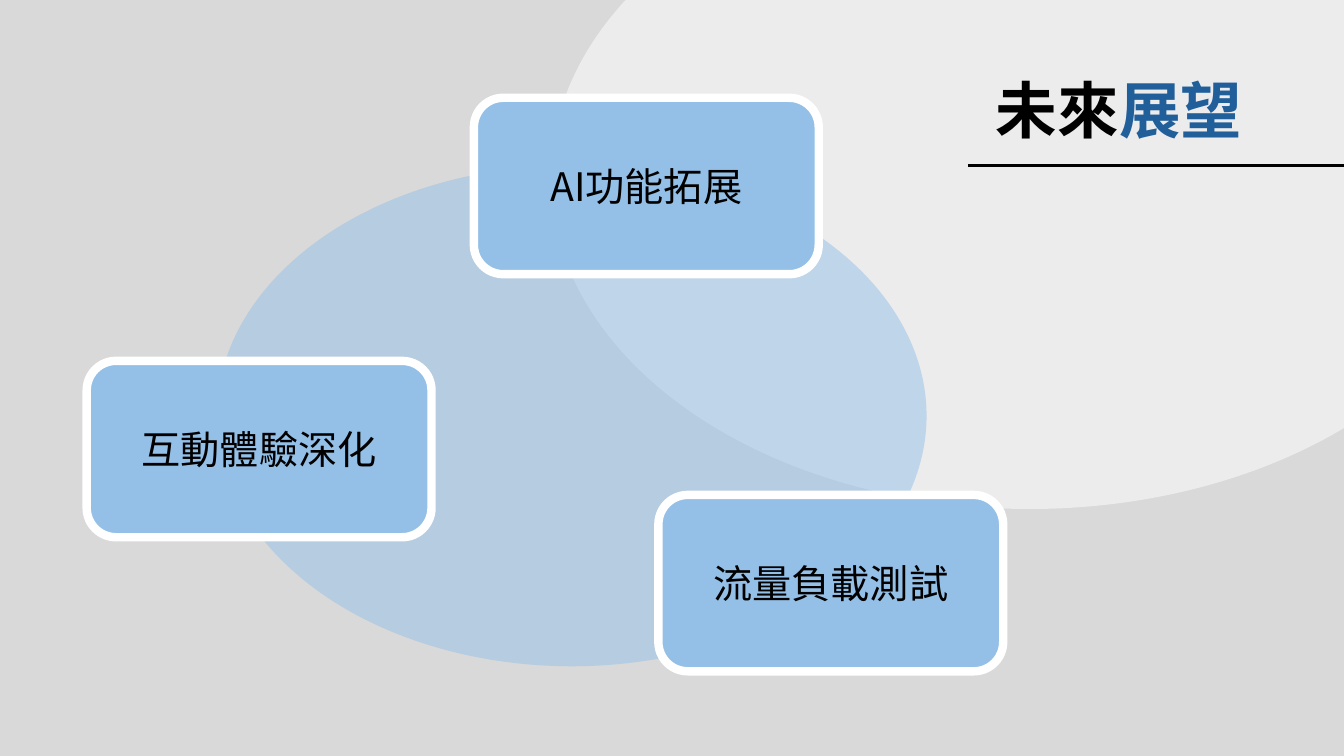
from lxml.etree import SubElement
from pptx import Presentation
from pptx.dml.color import RGBColor
from pptx.enum.shapes import MSO_CONNECTOR, MSO_SHAPE
from pptx.enum.text import MSO_ANCHOR, PP_ALIGN
from pptx.oxml.ns import qn
from pptx.util import Pt

PX = 9144
FONT = "Noto Sans CJK SC"
GREY = RGBColor(0xD9, 0xD9, 0xD9)
WHITE = RGBColor(0xFF, 0xFF, 0xFF)
BLACK = RGBColor(0x00, 0x00, 0x00)
SKY = RGBColor(0x94, 0xC0, 0xE8)
NAVY = RGBColor(0x21, 0x5F, 0x9A)

TITLE_FORMAT = {"name": FONT, "size": Pt(44), "bold": True}
CARD_FORMAT = {"name": FONT, "size": Pt(28), "bold": False}
CARD_W, CARD_H = 342, 175


def scale(*lengths):
    return [n * PX for n in lengths]


def add_run(p, text, color, formats):
    r = p.add_run()
    r.text = text
    for key, value in formats.items():
        setattr(r.font, key, value)
    r.font.color.rgb = color
    ea = SubElement(r.font._element, qn("a:ea"))
    ea.set("typeface", FONT)


def add_filled(s, kind, box, color):
    sp = s.shapes.add_shape(kind, *scale(*box))
    sp.shadow.inherit = False
    sp.fill.solid()
    sp.fill.fore_color.rgb = color
    return sp


def add_ellipse(s, box, color):
    sp = add_filled(s, MSO_SHAPE.OVAL, box, color)
    sp.line.fill.background()
    clr = sp._element.spPr.find(".//" + qn("a:srgbClr"))
    SubElement(clr, qn("a:alpha")).set("val", "50000")


def add_title(s, box, parts):
    left, top, width, height = box
    tf = s.shapes.add_textbox(*scale(*box)).text_frame
    tf.word_wrap = True
    tf.vertical_anchor = MSO_ANCHOR.MIDDLE
    p = tf.paragraphs[0]
    p.alignment = PP_ALIGN.RIGHT
    p.line_spacing = 0.9
    for text, color in parts:
        add_run(p, text, color, TITLE_FORMAT)
    rule_y = top + height - 21
    rule = s.shapes.add_connector(
        MSO_CONNECTOR.STRAIGHT, *scale(left + 868, rule_y, left + 1241, rule_y)
    )
    rule.line.color.rgb = BLACK
    rule.line.width = Pt(2.25)
    SubElement(rule._element.spPr, qn("a:effectLst"))


def add_card(s, box, text):
    sp = add_filled(s, MSO_SHAPE.ROUNDED_RECTANGLE, box, SKY)
    sp.line.color.rgb = WHITE
    sp.line.width = Pt(6)
    tf = sp.text_frame
    tf.word_wrap = True
    tf.vertical_anchor = MSO_ANCHOR.MIDDLE
    p = tf.paragraphs[0]
    p.alignment = PP_ALIGN.CENTER
    add_run(p, text, BLACK, CARD_FORMAT)


def add_outlook_slide(prs):
    s = prs.slides.add_slide(prs.slide_layouts[6])
    s.background.fill.solid()
    s.background.fill.fore_color.rgb = GREY
    add_ellipse(s, (546, -152, 951, 657), WHITE)
    add_ellipse(s, (215, 164, 704, 497), SKY)
    add_title(s, (92, 40, 1150, 145), [("未來", BLACK), ("展望", NAVY)])
    for left, top, text in [
        (470, 97, "AI功能拓展"),
        (653, 491, "流量負載測試"),
        (86, 358, "互動體驗深化"),
    ]:
        add_card(s, (left, top, CARD_W, CARD_H), text)


def main():
    prs = Presentation()
    prs.slide_width, prs.slide_height = scale(1333, 750)
    add_outlook_slide(prs)
    prs.save("out.pptx")


if __name__ == "__main__":
    main()
